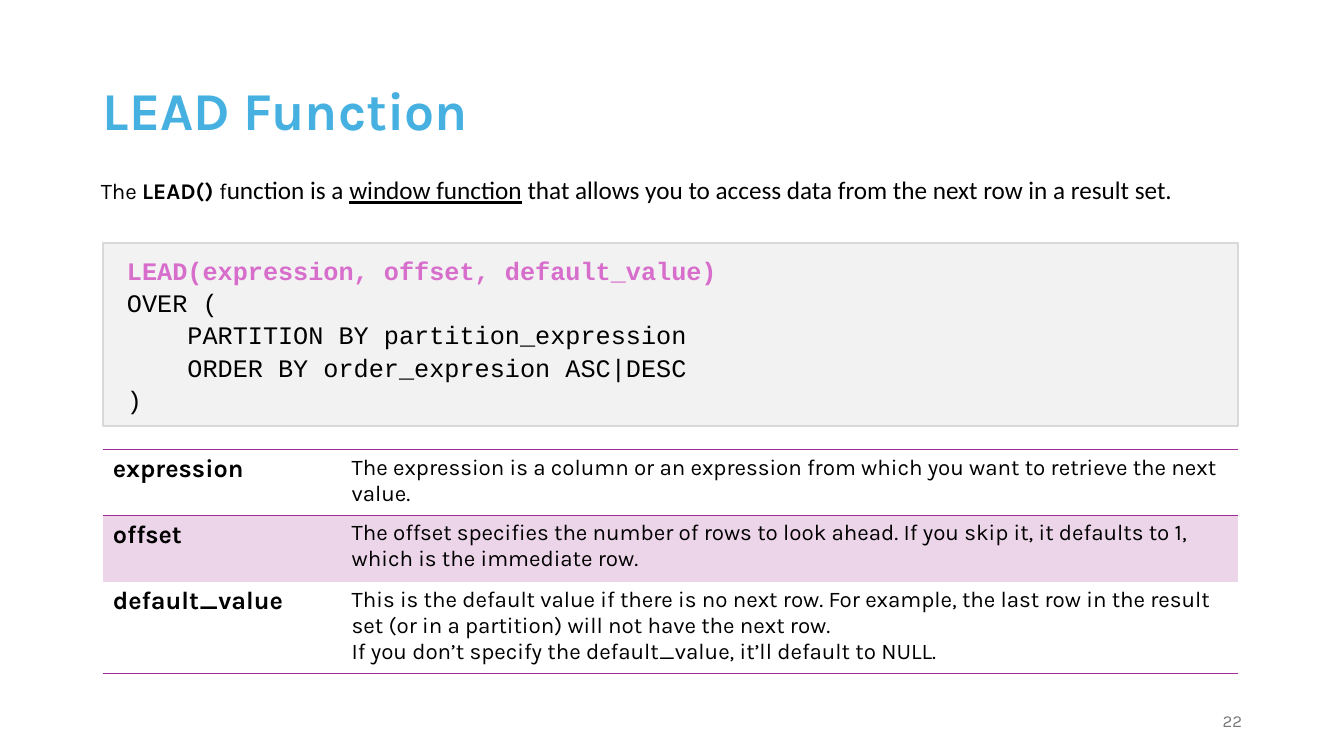
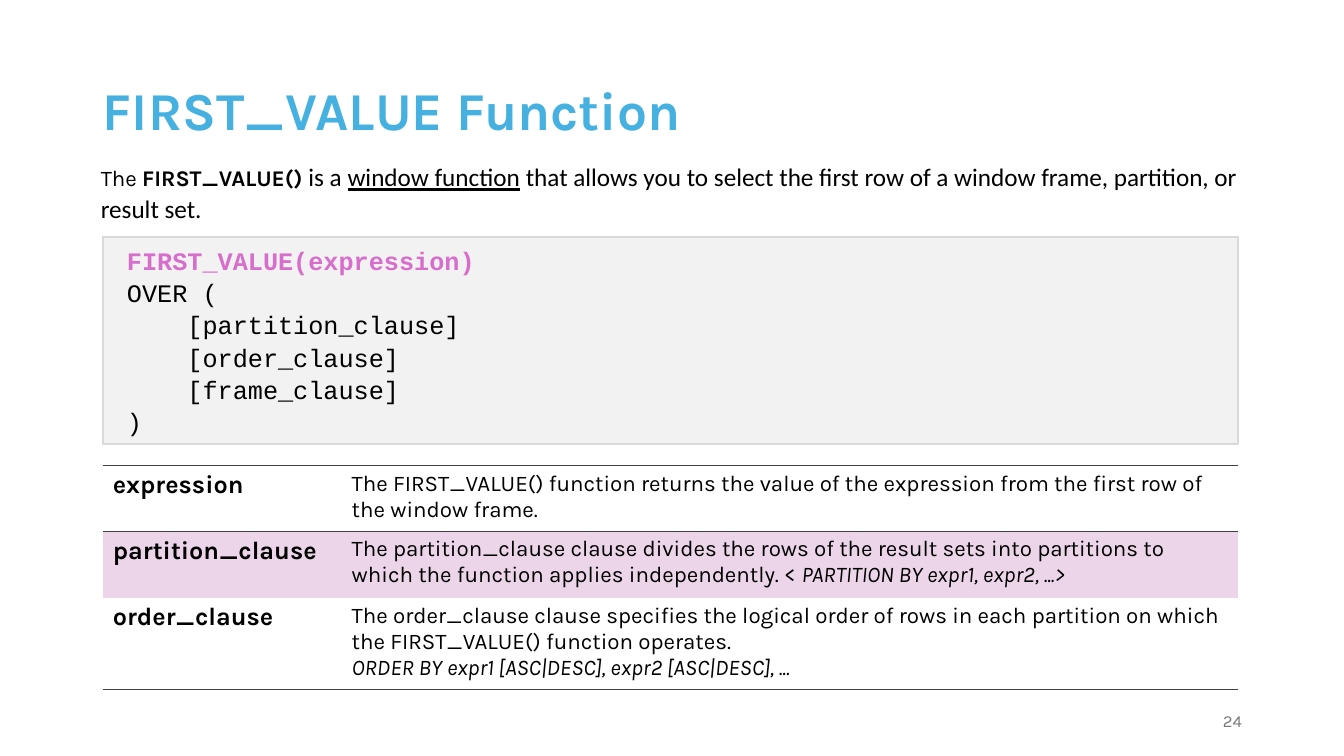
from dataclasses import dataclass, field

from lxml import etree
from pptx import Presentation
from pptx import util as u
from pptx.dml.color import RGBColor
from pptx.enum import shapes, text
from pptx.oxml import ns


@dataclass(frozen=True)
class Theme:
    """Colours, type styles and the shared page grid (in cm)."""
    panel: str = "F2F2F2"
    panel_edge: str = "D9D9D9"
    band: str = "ECD5E9"
    purple: str = "A02B93"
    dark: str = "404040"
    left: float = 2.59
    width: float = 28.6
    columns: tuple = (6.02, 22.58)
    rows: tuple = (1.65, 1.68, 2.31)
    styles: dict = field(default_factory=lambda: {
        "title": dict(name="Karla", size=38, bold=True, color="46B1E1"),
        "number": dict(name="Karla", size=12, color="797979"),
        "body": dict(name="Karla", size=16),
        "strong": dict(name="Karla", size=16, bold=True),
        "italic": dict(name="Karla", size=16, italic=True),
        "plain": dict(name="Calibri", size=18),
        "term": dict(name="Calibri", size=18, underline=True),
        "key": dict(name="Karla", size=18, bold=True),
        "code": dict(name="Courier New", size=18),
        "call": dict(name="Courier New", size=18, bold=True, color="D86ECC"),
    })


THEME = Theme()


def write(frame, paragraphs, **para_format):
    """Fill a frame from paragraphs, each a list of (text, style name)."""
    frame.word_wrap = True
    for index, spans in enumerate(paragraphs):
        para = frame.paragraphs[0] if index == 0 else frame.add_paragraph()
        for name, value in para_format.items():
            setattr(para, name, value)
        for words, style in spans:
            span = para.add_run()
            span.text = words
            values = {"color": "000000", "bold": False, **THEME.styles[style]}
            span.font.color.rgb = RGBColor.from_string(values.pop("color"))
            values["size"] = u.Pt(values["size"])
            for name, value in values.items():
                setattr(span.font, name, value)


def place(shape, left, top, width, height):
    for name, value in dict(left=left, top=top, width=width, height=height).items():
        setattr(shape, name, u.Cm(value))


def add_text(page, box, paragraphs, anchor=text.MSO_ANCHOR.TOP, **para_format):
    shape = page.shapes.add_textbox(*map(u.Cm, box))
    shape.text_frame.vertical_anchor = anchor
    write(shape.text_frame, paragraphs, **para_format)


def add_title(page, box, words):
    title = page.shapes.title
    place(title, *box)
    title.text_frame.vertical_anchor = text.MSO_ANCHOR.MIDDLE
    write(title.text_frame, [[(words, "title")]],
          alignment=text.PP_ALIGN.LEFT, line_spacing=0.9)


def add_code(page, box, inset, lines):
    """Grey panel whose first line is the highlighted call."""
    panel = page.shapes.add_shape(shapes.MSO_SHAPE.RECTANGLE, *map(u.Cm, box))
    panel.shadow.inherit = False
    panel.fill.solid()
    panel.fill.fore_color.rgb = RGBColor.from_string(THEME.panel)
    panel.line.color.rgb = RGBColor.from_string(THEME.panel_edge)
    panel.line.width = u.Pt(1.5)
    frame = panel.text_frame
    frame.vertical_anchor = text.MSO_ANCHOR.TOP
    frame.margin_left, frame.margin_top = u.Cm(0.61), u.Cm(inset)
    write(frame, [[(line, "code" if index else "call")]
                  for index, line in enumerate(lines)],
          alignment=text.PP_ALIGN.LEFT, line_spacing=1.07)


def set_borders(cell, sides, color, points):
    """Draw the named sides (of L, R, T, B) and clear the others."""
    properties = cell._tc.get_or_add_tcPr()
    for index, side in enumerate("LRTB"):
        line = etree.Element(ns.qn("a:ln" + side), w=str(u.Pt(points)))
        if side in sides:
            fill = etree.SubElement(line, ns.qn("a:solidFill"))
            etree.SubElement(fill, ns.qn("a:srgbClr"), val=color)
        else:
            etree.SubElement(line, ns.qn("a:noFill"))
        properties.insert(index, line)


def add_terms(page, box, terms, rule):
    """Two-column list of terms, ruled at both ends and under the first row."""
    table = page.shapes.add_table(len(terms), 2, *map(u.Cm, box)).table
    table.first_row = table.horz_banding = False
    for column, width in zip(table.columns, THEME.columns):
        column.width = u.Cm(width)
    for row, height, sides, (key, meaning) in zip(
            table.rows, THEME.rows, ("TB", "T", "B"), terms):
        row.height = u.Cm(height)
        for cell, paragraphs in zip(row.cells, ([[(key, "key")]], meaning)):
            write(cell.text_frame, paragraphs)
            if sides == "T":
                cell.fill.solid()
                cell.fill.fore_color.rgb = RGBColor.from_string(THEME.band)
            else:
                cell.fill.background()
            set_borders(cell, sides, *rule)


def add_function_page(deck, number, title, intro, intro_box, code, code_box,
                      inset, terms, table_top, rule):
    page = deck.slides.add_slide(deck.slide_layouts[5])
    add_title(page, (2.34, 1.02, 29.21, 3.68), title)
    add_text(page, (2.29, intro_box[0], 29.21, intro_box[1]), [intro], line_spacing=1.07)
    add_code(page, (THEME.left, code_box[0], THEME.width, code_box[1]), inset, code)
    add_terms(page, (THEME.left, table_top, THEME.width, sum(THEME.rows)), terms, rule)
    add_text(page, (23.93, 17.65, 7.62, 1.02), [[(number, "number")]],
             text.MSO_ANCHOR.MIDDLE, alignment=text.PP_ALIGN.RIGHT)


PAGES = [
    dict(
        number="22", title="LEAD Function",
        intro=[("The ", "body"), ("LEAD() ", "strong"), ("f", "body"),
               ("unction is a ", "plain"), ("window function", "term"),
               (" that allows you to access data from the next row in a result set.", "plain")],
        intro_box=(4.22, 1.09),
        code=["LEAD(expression, offset, default_value)",
              "OVER (",
              "    PARTITION BY partition_expression",
              "    ORDER BY order_expresion ASC|DESC",
              ")"],
        code_box=(6.12, 4.62), inset=0.25,
        terms=[
            ("expression", [[("The expression is a column or an expression from which you "
                              "want to retrieve the next value.", "body")]]),
            ("offset", [[("The offset specifies the number of rows to look ahead. If you skip "
                          "it, it defaults to 1, which is the immediate row.", "body")]]),
            ("default_value", [
                [("This is the default value if there is no next row. For example, the last "
                  "row in the result set (or in a partition) will not have the next row.", "body")],
                [("If you don’t specify the default_value, it’ll default to NULL.", "body")]]),
        ],
        table_top=11.33, rule=(THEME.purple, 1),
    ),
    dict(
        number="24", title="FIRST_VALUE Function",
        intro=[("The ", "body"), ("FIRST_VALUE() ", "strong"), ("is a ", "plain"),
               ("window function", "term"),
               (" that allows you to select the first row of a window frame, partition, "
                "or result set.", "plain")],
        intro_box=(3.89, 1.88),
        code=["FIRST_VALUE(expression)",
              "OVER (",
              "    [partition_clause]",
              "    [order_clause]",
              "    [frame_clause]",
              ")"],
        code_box=(5.97, 5.23), inset=0.15,
        terms=[
            ("expression", [[("The FIRST_VALUE() function returns the value of the expression "
                              "from the first row of the window frame.", "body")]]),
            ("partition_clause", [[
                ("The partition_clause clause divides the rows of the result sets into "
                 "partitions to which the function applies independently. < ", "body"),
                ("PARTITION BY expr1, expr2, ...>", "italic")]]),
            ("order_clause", [
                [("The order_clause clause specifies the logical order of rows in each partition "
                  "on which the FIRST_VALUE() function operates.", "body")],
                [("ORDER BY expr1 [ASC|DESC], expr2 [ASC|DESC], ...", "italic")]]),
        ],
        table_top=11.73, rule=(THEME.dark, 0.5),
    ),
]


def main():
    deck = Presentation()
    deck.slide_width, deck.slide_height = u.Cm(33.87), u.Cm(19.05)
    for content in PAGES:
        add_function_page(deck, **content)
    deck.save("out.pptx")


if __name__ == "__main__":
    main()
